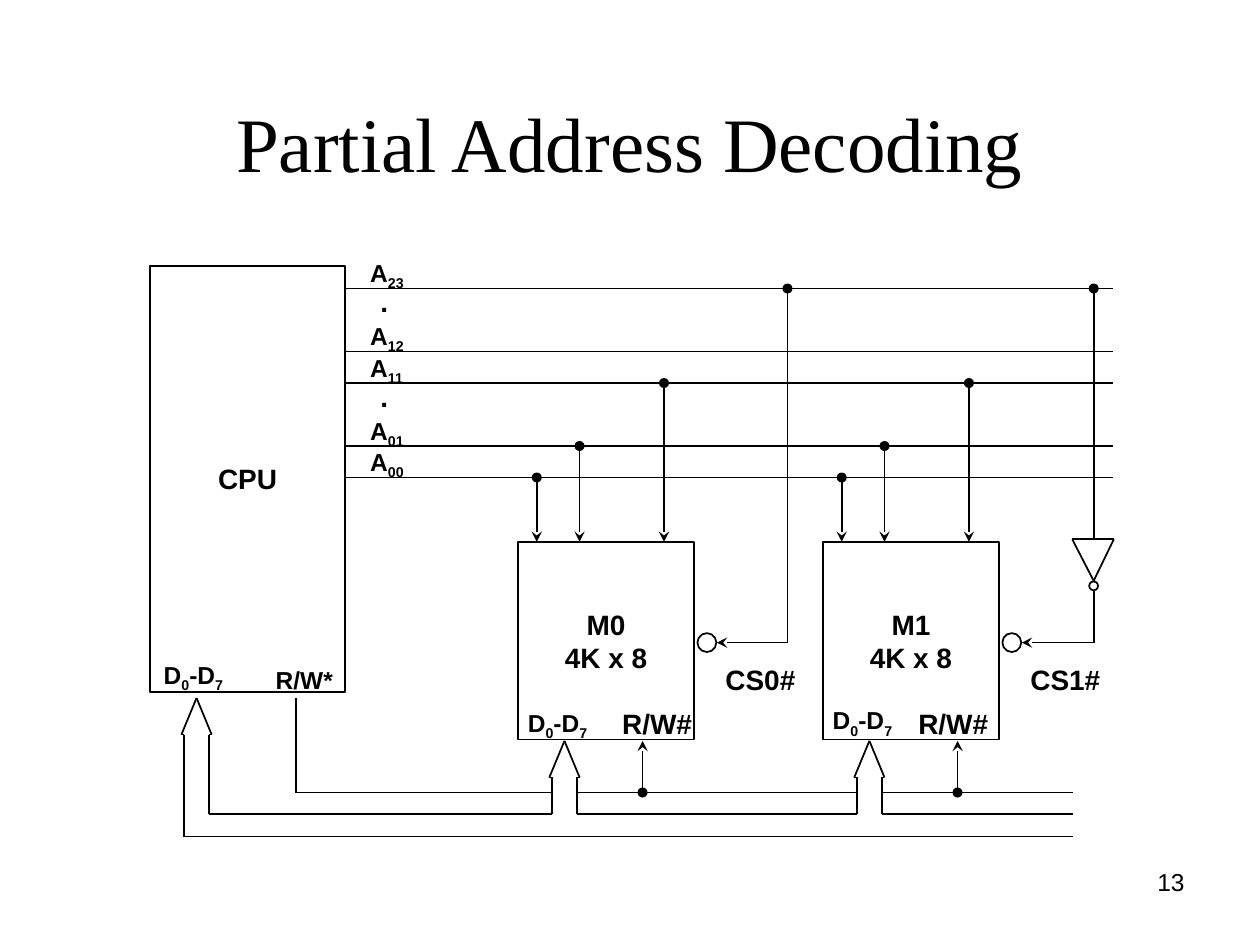
from itertools import pairwise
from lxml.etree import SubElement
from pptx import Presentation
from pptx.dml.color import RGBColor
from pptx.enum.shapes import MSO_CONNECTOR, MSO_SHAPE
from pptx.enum.text import MSO_ANCHOR, MSO_AUTO_SIZE, PP_ALIGN
from pptx.oxml.ns import qn
from pptx.util import Inches, Pt

BLACK = RGBColor(0, 0, 0)
WHITE = RGBColor(255, 255, 255)

# Content: an underscore switches subscript on and off
TITLE = "Partial Address Decoding"
PAGE_NUMBER = "13"
DATA_PINS = "D_0_-D_7"
ADDRESS_LINES = [("A_23", 0), ("A_12", 2), ("A_11", 3), ("A_01", 5), ("A_00", 6)]
GAP_DOTS = [1, 4]
TAPS = [(6, 0.15), (5, 0.49), (3, 1.16)]  # address row, offset in the memory
MEMORIES = [
    {"name": "M0", "select": "CS0#", "left": 4.11, "write": 5.1, "write_label": 4.84,
     "data_top": 5.57, "select_x": 6.25},
    {"name": "M1", "select": "CS1#", "left": 6.53, "write": 7.6, "write_label": 7.19,
     "data_top": 5.55, "select_x": 8.68},
]

# Layout in inches
CPU = (1.19, 2.11, 1.55, 3.38)
CPU_RIGHT = CPU[0] + CPU[2]
MEMORY_TOP, MEMORY_WIDTH, MEMORY_HEIGHT = 4.3, 1.4, 1.57
ADDRESS_END, BUS_END = 8.83, 8.52
WRITE_Y, BUS_UPPER, BUS_LOWER = 6.29, 6.46, 6.64
SELECT_Y = 5.1
ARROW_OFFSET, SHAFT, ARROW_WING = 0.37, 0.1, 0.12
CPU_ARROW = 1.56

deck = Presentation()
deck.slide_width, deck.slide_height = Inches(10), Inches(7.5)
page = deck.slides.add_slide(deck.slide_layouts[5])


def address_y(row):
    return 2.29 + 0.25 * row


def write_text(frame, text, size=14, bold=True, align=PP_ALIGN.LEFT, font="Arial"):
    for index, line in enumerate(text.split("\n")):
        para = frame.paragraphs[0] if index == 0 else frame.add_paragraph()
        para.alignment = align
        for part, piece in enumerate(line.split("_")):
            if not piece:
                continue
            span = para.add_run()
            span.text = piece
            span.font.name, span.font.size, span.font.bold = font, Pt(size), bold
            span.font.color.rgb = BLACK
            if part % 2:
                span.font._element.set("baseline", "-25000")


def add_label(text, left, top, width, height=0.37, **text_format):
    box = page.shapes.add_textbox(*map(Inches, (left, top, width, height)))
    box.text_frame.word_wrap = False
    box.text_frame.auto_size = MSO_AUTO_SIZE.SHAPE_TO_FIT_TEXT
    write_text(box.text_frame, text, **text_format)


def add_outline(kind, left, top, width, height, text="", fill=WHITE, line=True):
    shape = page.shapes.add_shape(kind, *map(Inches, (left, top, width, height)))
    shape.shadow.inherit = False
    shape.fill.solid()
    shape.fill.fore_color.rgb = fill
    if line:
        shape.line.color.rgb, shape.line.width = BLACK, Pt(1)
    else:
        shape.line.fill.background()
    if text:
        shape.text_frame.word_wrap = False
        shape.text_frame.vertical_anchor = MSO_ANCHOR.MIDDLE
        write_text(shape.text_frame, text, size=16, align=PP_ALIGN.CENTER)


def add_circle(x, y, diameter, **style):
    add_outline(MSO_SHAPE.OVAL, x - diameter / 2, y - diameter / 2, diameter, diameter, **style)


def add_junction(x, y):
    add_circle(x, y, 0.08, fill=BLACK, line=False)


def add_wire(*points, arrow=False):
    """Join the points with straight lines; the last may end in an arrowhead."""
    for start, end in pairwise(points):
        wire = page.shapes.add_connector(MSO_CONNECTOR.STRAIGHT, *map(Inches, (*start, *end)))
        wire.line.color.rgb, wire.line.width = BLACK, Pt(1)
        if arrow and end == points[-1]:
            SubElement(wire.line._get_or_add_ln(), qn("a:tailEnd"), type="stealth")
        SubElement(wire._element.spPr, qn("a:effectLst"))


def add_bus_arrow(x, tip):
    neck, foot = tip + 0.29, tip + 0.58
    add_wire((x - SHAFT, foot), (x - SHAFT, neck), (x - ARROW_WING, neck), (x, tip),
             (x + ARROW_WING, neck), (x + SHAFT, neck), (x + SHAFT, foot))


# Title and page number
title = page.shapes.title
title.left, title.top, title.width, title.height = map(Inches, (0.5, 0.3, 9, 1.25))
title.text_frame.vertical_anchor = MSO_ANCHOR.BOTTOM
title.text_frame.auto_size = MSO_AUTO_SIZE.NONE
write_text(title.text_frame, TITLE, size=44, bold=False, align=PP_ALIGN.CENTER,
           font="Times New Roman")
title.text_frame.paragraphs[0].line_spacing = 0.9
number = page.shapes.add_textbox(*map(Inches, (7.17, 6.83, 2.33, 0.52)))
number.text_frame.word_wrap = True
write_text(number.text_frame, PAGE_NUMBER, bold=False, align=PP_ALIGN.RIGHT)

# Processor and address lines
add_outline(MSO_SHAPE.RECTANGLE, *CPU, text="CPU")
add_label(DATA_PINS, 1.2, 5.19, 0.68)
add_label("R/W*", 2.09, 5.23, 0.66, 0.33)
for name, row in ADDRESS_LINES:
    add_wire((CPU_RIGHT, address_y(row)), (ADDRESS_END, address_y(row)))
    add_label(name, 2.84, address_y(row) - 0.29, 0.47)
for row in GAP_DOTS:
    add_label(".", 2.92, address_y(row) - 0.33, 0.26, size=16)

# Memories with their address taps, pins and select lines
for memory in MEMORIES:
    left = memory["left"]
    right, bottom = left + MEMORY_WIDTH, MEMORY_TOP + MEMORY_HEIGHT
    add_outline(MSO_SHAPE.RECTANGLE, left, MEMORY_TOP, MEMORY_WIDTH, MEMORY_HEIGHT,
                text=memory["name"] + "\n4K x 8")
    for row, offset in TAPS:
        add_wire((left + offset, address_y(row)), (left + offset, MEMORY_TOP), arrow=True)
        add_junction(left + offset, address_y(row))
    add_bus_arrow(left + ARROW_OFFSET, bottom + 0.01)
    add_wire((memory["write"], WRITE_Y), (memory["write"], bottom + 0.01), arrow=True)
    add_junction(memory["write"], WRITE_Y)
    add_label(DATA_PINS, left - 0.02, memory["data_top"], 0.68)
    add_label("R/W#", memory["write_label"], 5.56, 0.76, size=16)
    add_circle(right + 0.1, SELECT_Y, 0.15)
    add_wire((memory["select_x"], SELECT_Y), (right + 0.18, SELECT_Y), arrow=True)
    add_label(memory["select"], right + 0.15, 5.21, 0.76, size=16)
    add_junction(memory["select_x"], address_y(0))

# Select wires: direct to the first memory, inverted to the second
direct, inverted = (memory["select_x"] for memory in MEMORIES)
add_wire((direct, SELECT_Y), (direct, address_y(0)))
add_wire((inverted, address_y(0)), (inverted, 4.28))
add_wire((8.51, 4.28), (8.84, 4.28), (inverted, 4.61), (8.51, 4.28))
add_circle(inverted, 4.65, 0.07)
add_wire((inverted, 4.68), (inverted, SELECT_Y))

# Data bus and write line, broken where the bus arrows cross
add_bus_arrow(CPU_ARROW, 5.54)
add_wire((CPU_ARROW - SHAFT, 6.12), (CPU_ARROW - SHAFT, BUS_LOWER), (BUS_END, BUS_LOWER))
add_wire((CPU_ARROW + SHAFT, 6.12), (CPU_ARROW + SHAFT, BUS_UPPER))
add_wire((2.35, 5.54), (2.35, WRITE_Y))
arrows = [memory["left"] + ARROW_OFFSET for memory in MEMORIES]
ends = [x - SHAFT for x in arrows] + [BUS_END]
for y, first in ((WRITE_Y, 2.35), (BUS_UPPER, CPU_ARROW + SHAFT)):
    for start, end in zip([first] + [x + SHAFT for x in arrows], ends):
        add_wire((start, y), (end, y))

deck.save("out.pptx")
